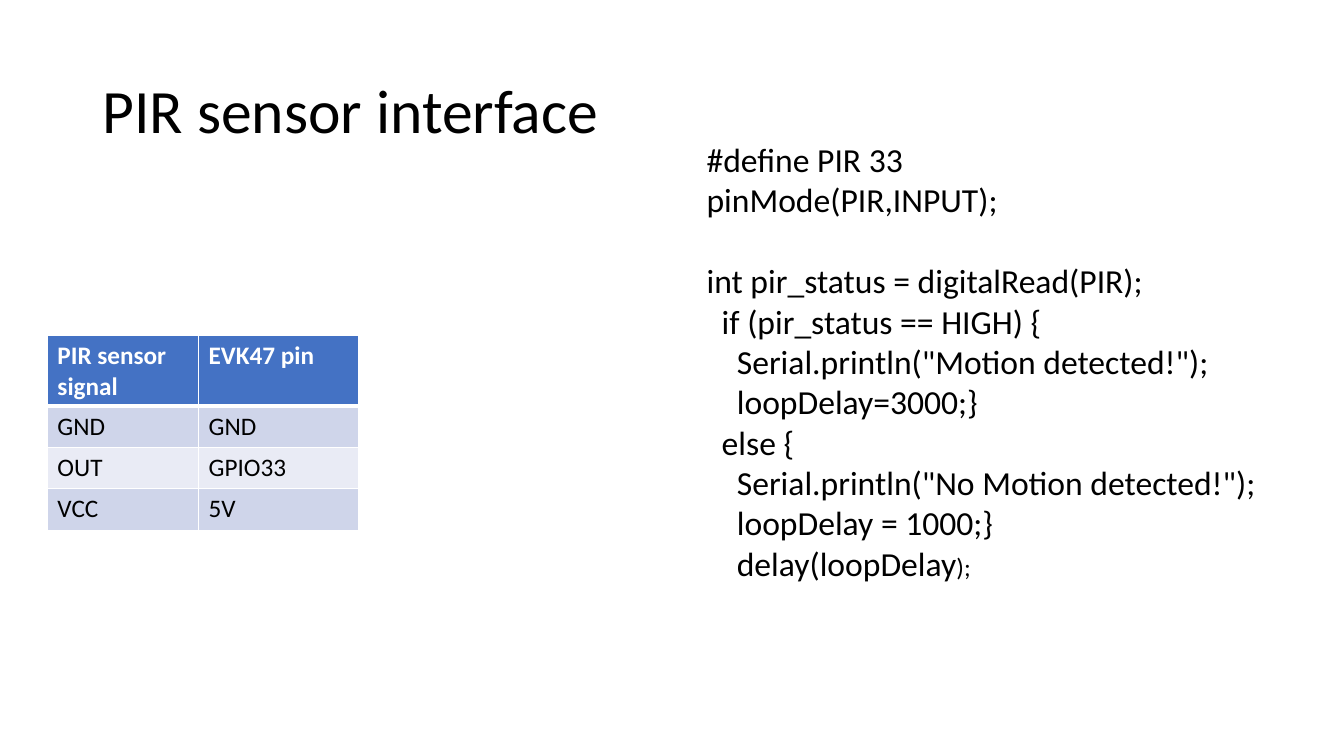
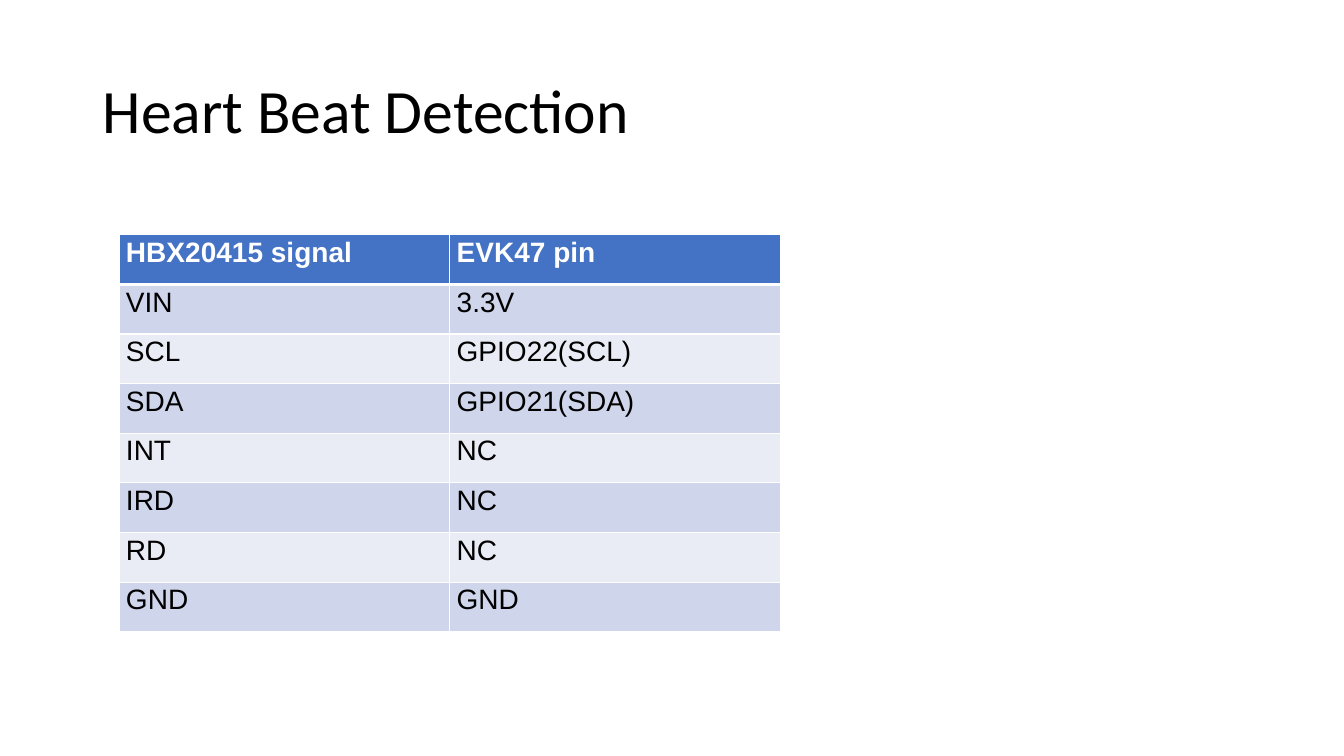
from lxml.etree import SubElement
from pptx import Presentation
from pptx.dml.color import RGBColor
from pptx.enum.text import MSO_ANCHOR
from pptx.oxml.ns import qn
from pptx.util import Inches, Pt

COLORS = {
    "text": "000000",
    "white": "FFFFFF",
    "header": "4472C4",
    "band_dark": "CFD5EA",
    "band_light": "E9EBF5",
}
TITLE_BOX = (0.92, 0.4, 11.5, 1.45)
BODY_FONT = "Calibri"
CODE_INDENT = 0.15
CODE_LINE_POINTS = 29

BOARD_PIN_HEADER = "EVK47 pin"
PIR_PINS = [
    ("PIR sensor signal", BOARD_PIN_HEADER),
    ("GND", "GND"),
    ("OUT", "GPIO33"),
    ("VCC", "5V"),
]
HEART_PINS = [
    ("HBX20415 signal", BOARD_PIN_HEADER),
    ("VIN", "3.3V"),
    ("SCL", "GPIO22(SCL)"),
    ("SDA", "GPIO21(SDA)"),
    ("INT", "NC"),
    ("IRD", "NC"),
    ("RD", "NC"),
    ("GND", "GND"),
]
# Each line: indent level, blank lines above, runs of (text, size)
PIR_CODE = [
    (0, 0, [("#define PIR 33", 24)]),
    (0, 0, [("pinMode(PIR,INPUT);", 24)]),
    (0, 1, [("int pir_status = digitalRead(PIR);", 24)]),
    (1, 0, [("if (pir_status == HIGH) {", 24)]),
    (2, 0, [('Serial.println("Motion detected!");', 24)]),
    (2, 0, [("loopDelay=3000;}", 24)]),
    (1, 0, [("else {", 24)]),
    (2, 0, [('Serial.println("No Motion detected!");', 24)]),
    (2, 0, [("loopDelay = 1000;}", 24)]),
    (2, 0, [("delay(loopDelay", 24), (");", 18)]),
]


def color(name):
    return RGBColor.from_string(COLORS[name])


def add_run(paragraph, text, size, font=BODY_FONT, color_name="text", bold=False):
    run = paragraph.add_run()
    run.text = text
    run.font.size = Pt(size)
    run.font.name = font
    run.font.bold = bold
    run.font.color.rgb = color(color_name)


def add_text_frame(slide, box):
    text_frame = slide.shapes.add_textbox(*map(Inches, box)).text_frame
    text_frame.word_wrap = True
    return text_frame


def add_titled_slide(presentation, title):
    slide = presentation.slides.add_slide(presentation.slide_layouts[6])
    text_frame = add_text_frame(slide, TITLE_BOX)
    text_frame.vertical_anchor = MSO_ANCHOR.MIDDLE
    paragraph = text_frame.paragraphs[0]
    paragraph.line_spacing = 0.9
    add_run(paragraph, title, 44)
    return slide


def add_code(slide, box, lines):
    text_frame = add_text_frame(slide, box)
    for index, (level, blank_lines, runs) in enumerate(lines):
        paragraph = text_frame.paragraphs[0] if index == 0 else text_frame.add_paragraph()
        paragraph.space_before = Pt(blank_lines * CODE_LINE_POINTS)
        properties = paragraph._p.get_or_add_pPr()
        properties.set("marL", str(Inches(level * CODE_INDENT)))
        for text, size in runs:
            add_run(paragraph, text, size)


def set_borders(cell, top, bottom):
    """Draw white borders, one point wide at the sides."""
    properties = cell._tc.get_or_add_tcPr()
    for side, width in (("L", 1), ("R", 1), ("T", top), ("B", bottom)):
        line = SubElement(properties, qn(f"a:ln{side}"), w=str(Pt(width)))
        fill = SubElement(line, qn("a:solidFill"))
        SubElement(fill, qn("a:srgbClr"), val=COLORS["white"])


def add_pin_table(slide, position, widths, heights, rows, size, font=BODY_FONT, compact=False):
    """Add a header and banded rows; compact cells have narrow margins and spaced text."""
    left, top = position
    frame = slide.shapes.add_table(
        len(rows), len(widths), Inches(left), Inches(top),
        Inches(sum(widths)), Inches(sum(heights)),
    )
    table = frame.table
    for column, width in zip(table.columns, widths):
        column.width = Inches(width)
    for index, (row, height, texts) in enumerate(zip(table.rows, heights, rows)):
        row.height = Inches(height)
        is_header = index == 0
        band = "band_dark" if index % 2 else "band_light"
        for cell, text in zip(row.cells, texts):
            set_borders(cell, top=3 if index == 1 else 1, bottom=3 if is_header else 1)
            cell.fill.solid()
            cell.fill.fore_color.rgb = color("header" if is_header else band)
            paragraph = cell.text_frame.paragraphs[0]
            if compact:
                cell.margin_left = cell.margin_right = Inches(0.07)
                cell.margin_top = cell.margin_bottom = Inches(0)
                paragraph.line_spacing = 1.07
                paragraph.space_after = Pt(8)
            add_run(paragraph, text, size, font, "white" if is_header else "text", is_header)


def build_pir_slide(presentation):
    slide = add_titled_slide(presentation, "PIR sensor interface")
    heights = [0.69] + [0.41] * (len(PIR_PINS) - 1)
    add_pin_table(slide, (0.47, 3.33), [1.5, 1.59], heights, PIR_PINS, 18)
    add_code(slide, (6.91, 1.33, 5.75, 4.54), PIR_CODE)


def build_heart_slide(presentation):
    slide = add_titled_slide(presentation, "Heart Beat Detection")
    row_count = len(HEART_PINS)
    heights = [3.94 / row_count] * row_count
    add_pin_table(slide, (1.18, 2.33), [3.28] * 2, heights, HEART_PINS, 20, "Arial", compact=True)


def main():
    presentation = Presentation()
    presentation.slide_width = Inches(13.33)
    presentation.slide_height = Inches(7.5)
    build_pir_slide(presentation)
    build_heart_slide(presentation)
    presentation.save("out.pptx")


if __name__ == "__main__":
    main()
